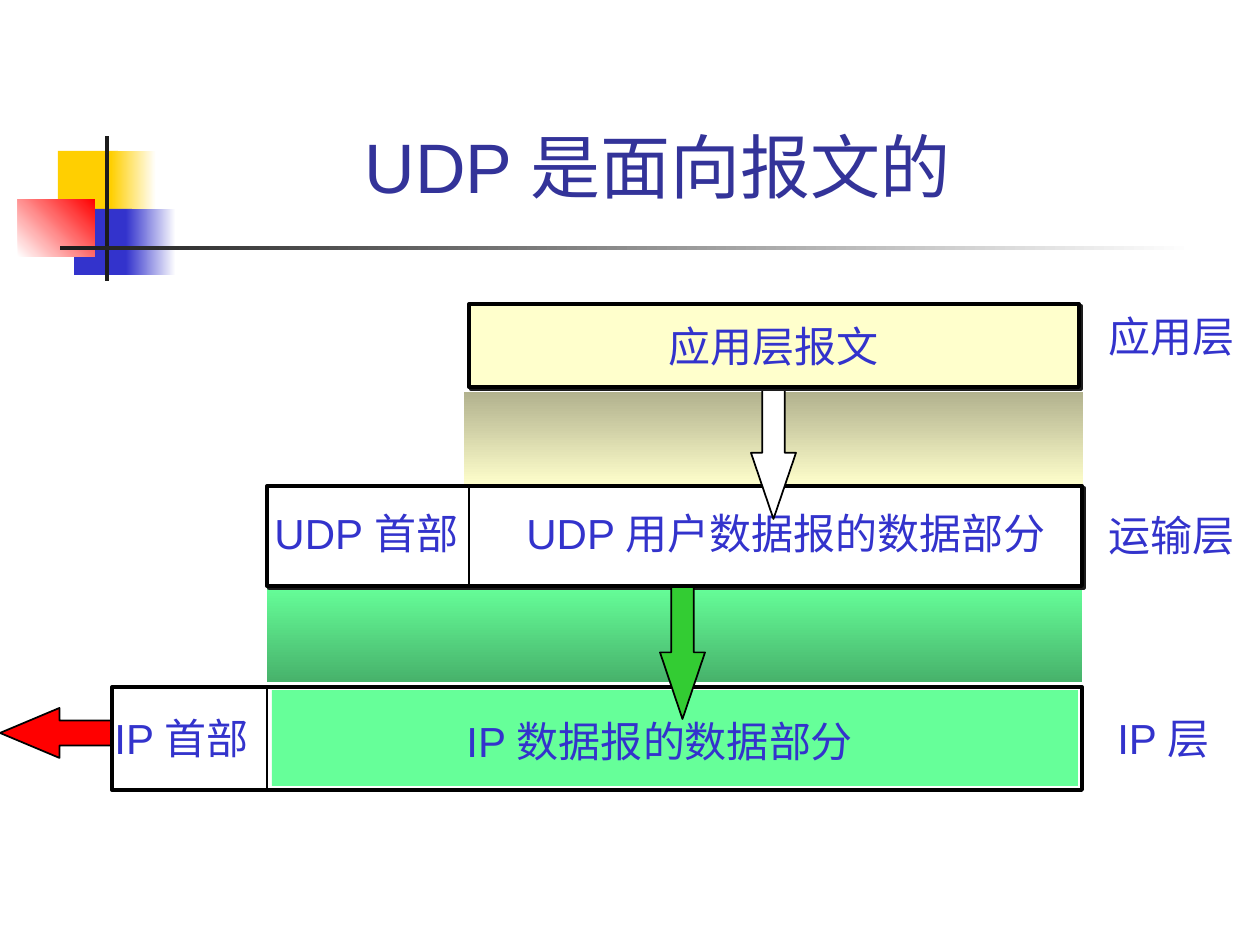
from lxml.etree import SubElement
from pptx import Presentation
from pptx.dml.color import RGBColor
from pptx.enum.shapes import MSO_CONNECTOR, MSO_SHAPE
from pptx.enum.text import MSO_ANCHOR, MSO_AUTO_SIZE, PP_ALIGN
from pptx.oxml import parse_xml
from pptx.oxml.ns import nsdecls, qn
from pptx.util import Emu, Pt

WHITE = RGBColor(0xFF, 0xFF, 0xFF)
BLACK = RGBColor(0, 0, 0)
INK = RGBColor(0x1C, 0x1C, 0x1C)
YELLOW = RGBColor(0xFF, 0xCF, 0x01)
BLUE = RGBColor(0x33, 0x33, 0xCC)
RED = RGBColor(0xFF, 0, 0)
TITLE_BLUE = RGBColor(0x33, 0x33, 0x99)
CREAM = RGBColor(0xFF, 0xFF, 0xCC)
DARK_CREAM = RGBColor(0xB2, 0xB2, 0x8E)
MINT = RGBColor(0x66, 0xFF, 0x99)
DARK_MINT = RGBColor(0x47, 0xB2, 0x6B)
GREEN = RGBColor(0x33, 0xCC, 0x33)

FONT = "Arial"
SCALE = 914400 / 126
RIGHTWARD, UP_RIGHT, DOWNWARD = 0, 45, 270

TITLE = "UDP 是面向报文的 "
TITLE_BOX = (159, 29, 1013, 185)

ORNAMENTS = [
    ((58, 151, 60, 66), YELLOW),
    ((111, 151, 45, 66), (YELLOW, WHITE, RIGHTWARD)),
    ((74, 209, 58, 66), BLUE),
    ((126, 209, 50, 66), (BLUE, WHITE, RIGHTWARD)),
    ((18, 199, 77, 58), (WHITE, RED, UP_RIGHT)),
    ((105, 136, 4, 145), INK),
    ((60, 246, 1134, 4), (INK, WHITE, RIGHTWARD)),
]

APPLICATION = (469, 304, 610, 83)
UDP = (267, 486, 815, 100)
IP = (112, 687, 970, 103)
IP_DATA = (272, 690, 806, 96)
UDP_BAND = (267, 586, 815, 96)
APPLICATION_BAND = (464, 392, 619, 94)

DIVIDERS = [(469, UDP), (267, IP)]

LABEL_HEIGHT = 63
LABELS = [
    ("IP 数据报的数据部分", 454, 709, 422),
    ("IP 首部", 102, 706, 170),
    ("IP 层", 1105, 706, 129),
    ("UDP 首部", 262, 501, 219),
    ("UDP 用户数据报的数据部分", 514, 501, 556),
    ("运输层", 1096, 503, 151),
    ("应用层", 1096, 304, 151),
]

SEND_ARROW = (MSO_SHAPE.LEFT_ARROW, (0, 708, 118, 50), RED, 1.19)
DOWN_ARROWS = [
    (MSO_SHAPE.DOWN_ARROW, (660, 587, 45, 132), GREEN, 1.48),
    (MSO_SHAPE.DOWN_ARROW, (751, 387, 45, 132), WHITE, 1.47),
]


def emu(*lengths):
    return [Emu(round(length * SCALE)) for length in lengths]


def add_block(slide, box, fill, line_width=0, kind=MSO_SHAPE.RECTANGLE):
    shape = slide.shapes.add_shape(kind, *emu(*box))
    shape.shadow.inherit = False
    if isinstance(fill, RGBColor):
        shape.fill.solid()
        shape.fill.fore_color.rgb = fill
    else:
        start, end, angle = fill
        shape.fill.gradient()
        shape.fill.gradient_angle = angle
        for stop, color in zip(shape.fill.gradient_stops, (start, end)):
            stop.color.rgb = color
    if line_width:
        shape.line.color.rgb = BLACK
        shape.line.width = Pt(line_width)
    else:
        shape.line.fill.background()
    return shape


def add_arrow(slide, kind, box, fill, head):
    arrow = add_block(slide, box, fill, 1, kind)
    arrow.adjustments[0] = 0.5
    arrow.adjustments[1] = head


def add_hard_shadow(shape):
    effects = shape.element.spPr.find(qn("a:effectLst"))
    effects.append(parse_xml(
        f'<a:outerShdw {nsdecls("a")} blurRad="0" dist="{int(Pt(1.4))}" dir="2700000" '
        f'algn="ctr" rotWithShape="0"><a:srgbClr val="{INK}"/></a:outerShdw>'))


def write(shape, text, size=24, color=BLUE, alignment=PP_ALIGN.LEFT):
    paragraph = shape.text_frame.paragraphs[0]
    paragraph.alignment = alignment
    run = paragraph.add_run()
    run.text = text
    run.font.name = FONT
    run.font.size = Pt(size)
    run.font.color.rgb = color


def add_label(slide, text, left, top, width):
    label = slide.shapes.add_textbox(*emu(left, top, width, LABEL_HEIGHT))
    label.text_frame.word_wrap = False
    label.text_frame.auto_size = MSO_AUTO_SIZE.SHAPE_TO_FIT_TEXT
    write(label, text)


def add_divider(slide, x, box):
    top, height = box[1], box[3]
    divider = slide.shapes.add_connector(
        MSO_CONNECTOR.STRAIGHT, *emu(x, top, x, top + height))
    divider.line.color.rgb = BLACK
    divider.line.width = Pt(1)
    SubElement(divider.element.spPr, qn("a:effectLst"))


def main():
    presentation = Presentation()
    presentation.slide_width, presentation.slide_height = emu(1260, 945)
    slide = presentation.slides.add_slide(presentation.slide_layouts[5])

    title = slide.shapes.title
    title.left, title.top, title.width, title.height = emu(*TITLE_BOX)
    title.text_frame.vertical_anchor = MSO_ANCHOR.BOTTOM
    write(title, TITLE, 40, TITLE_BLUE, PP_ALIGN.CENTER)

    for box, fill in ORNAMENTS:
        add_block(slide, box, fill)

    add_arrow(slide, *SEND_ARROW)
    add_block(slide, UDP_BAND, (MINT, DARK_MINT, DOWNWARD))
    add_block(slide, APPLICATION_BAND, (DARK_CREAM, CREAM, DOWNWARD))
    add_hard_shadow(add_block(slide, UDP, WHITE, 2.25))
    add_block(slide, IP, WHITE, 2.25)
    add_block(slide, IP_DATA, MINT)

    for label in LABELS:
        add_label(slide, *label)
    for x, box in DIVIDERS:
        add_divider(slide, x, box)
    for arrow in DOWN_ARROWS:
        add_arrow(slide, *arrow)

    message = add_block(slide, APPLICATION, CREAM, 2.25)
    add_hard_shadow(message)
    message.text_frame.word_wrap = False
    message.text_frame.vertical_anchor = MSO_ANCHOR.MIDDLE
    write(message, "应用层报文", alignment=PP_ALIGN.CENTER)

    presentation.save("out.pptx")


if __name__ == "__main__":
    main()
